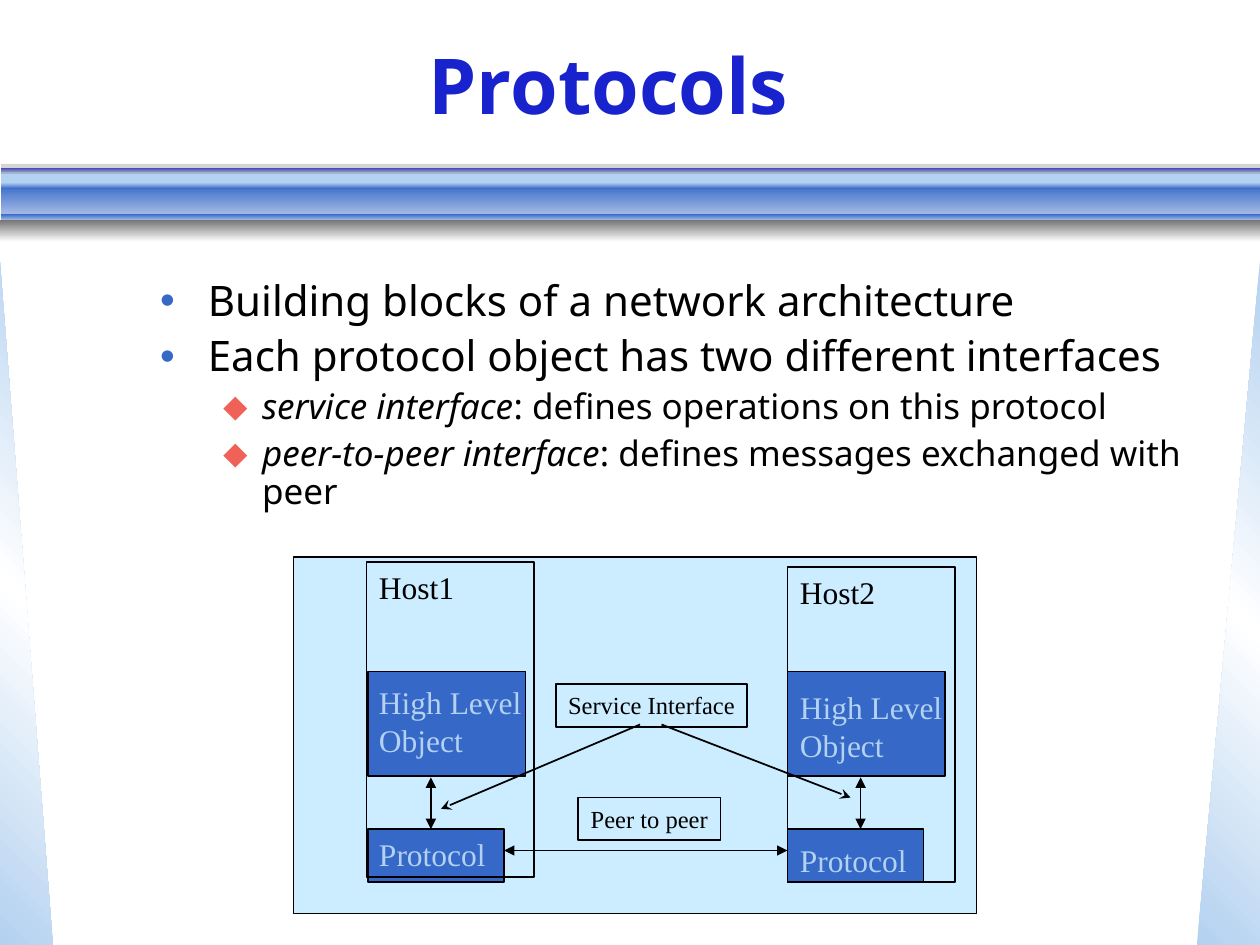
from dataclasses import dataclass

from lxml import etree
from pptx import Presentation
from pptx.dml.color import RGBColor
from pptx.enum.shapes import MSO_CONNECTOR, MSO_SHAPE
from pptx.enum.text import MSO_ANCHOR, MSO_AUTO_SIZE, PP_ALIGN
from pptx.oxml import parse_xml
from pptx.oxml.ns import nsdecls, qn
from pptx.util import Inches, Pt

RECTANGLE, TRIANGLE = MSO_SHAPE.RECTANGLE, MSO_SHAPE.RIGHT_TRIANGLE
STRAIGHT = MSO_CONNECTOR.STRAIGHT
TOP, MIDDLE = MSO_ANCHOR.TOP, MSO_ANCHOR.MIDDLE
LEFT, CENTER = PP_ALIGN.LEFT, PP_ALIGN.CENTER
NO_AUTOFIT = MSO_AUTO_SIZE.NONE

BLACK = RGBColor(0x00, 0x00, 0x00)
WHITE = RGBColor(0xFF, 0xFF, 0xFF)
GRAY = RGBColor(0x77, 0x77, 0x77)
TITLE_BLUE = RGBColor(0x18, 0x22, 0xCD)
SOFT_VIOLET = RGBColor(0x87, 0x8D, 0xE5)
BLUE = RGBColor(0x35, 0x68, 0xC7)
SOFT_BLUE = RGBColor(0xA9, 0xBE, 0xE7)
PALE_BLUE = RGBColor(0xB3, 0xD1, 0xF0)
PANEL_BLUE = RGBColor(0xCC, 0xEC, 0xFF)
CORAL = RGBColor(0xF0, 0x61, 0x57)

SANS, SERIF = "Noto Sans", "Times New Roman"


@dataclass
class Box:
    left: float
    top: float
    width: float
    height: float

    def lengths(self) -> list:
        return [Inches(v) for v in (self.left, self.top, self.width, self.height)]


@dataclass
class Band:
    box: Box
    colors: tuple
    angle: int = 90
    kind: int = RECTANGLE
    mirrored: bool = False
    alpha: int = 100


@dataclass
class Line:
    """A label line; gap is the space before it in points."""
    text: str
    size: int = 18
    color: RGBColor = BLACK
    gap: int = 0


@dataclass
class Arrow:
    start: tuple
    end: tuple
    tail: str = "triangle"
    head: str = "none"


@dataclass
class Bullet:
    term: str
    text: str
    level: int = 0


@dataclass
class BulletStyle:
    mark: str
    color: RGBColor
    size: int
    space: int
    indent: float
    hanging: float


BULLET_STYLES = (BulletStyle("•", BLUE, 24, 6, 0.38, 0.38),
                 BulletStyle("⬥", CORAL, 20, 5, 0.81, 0.31))

BANDS = (
    Band(Box(0, 2.08, 0.42, 5.42), (PALE_BLUE, WHITE, PALE_BLUE), 135, TRIANGLE),
    Band(Box(9.5, 2.08, 0.5, 5.42), (PALE_BLUE, WHITE, PALE_BLUE), 225, TRIANGLE, True),
    Band(Box(0.01, 1.36, 9.99, 0.1), (PALE_BLUE,)),
    Band(Box(0.01, 1.46, 9.99, 0.25), (BLUE, SOFT_BLUE)),
    Band(Box(0.01, 1.33, 9.99, 0.03), (TITLE_BLUE, SOFT_VIOLET)),
    Band(Box(0.01, 1.7, 9.99, 0.05), (BLUE, SOFT_BLUE)),
    Band(Box(0.01, 1.45, 9.99, 0.05), (PALE_BLUE, BLUE)),
    Band(Box(0, 1.75, 10, 0.17), (GRAY, WHITE)),
    Band(Box(0.01, 1.3, 9.99, 0.08), (GRAY,), alpha=31),
)

BULLETS = (
    Bullet("", "Building blocks of a network architecture"),
    Bullet("", "Each protocol object has two different interfaces"),
    Bullet("service interface", ": defines operations on this protocol", 1),
    Bullet("peer-to-peer interface", ": defines messages exchanged with peer", 1),
)

HOSTS = (("Host1", Box(2.91, 4.46, 1.33, 2.5)), ("Host2", Box(6.25, 4.5, 1.33, 2.5)))
BLOCK_LEFTS = (2.92, 6.25)
LABELS = (("Service Interface", Box(4.41, 5.43, 1.52, 0.34)),
          ("Peer to peer", Box(4.59, 6.33, 1.13, 0.34)))
ARROWS = (
    Arrow((3.42, 6.17), (3.42, 6.58), head="triangle"),
    Arrow((6.83, 6.17), (6.83, 6.58), head="triangle"),
    Arrow((4, 6.75), (6.25, 6.75), head="triangle"),
    Arrow((5.08, 5.75), (3.5, 6.42), "stealth"),
    Arrow((5.25, 5.75), (6.75, 6.33), "stealth"),
)


def set_gradient(shape, colors: tuple, angle: int) -> None:
    stops = "".join(
        f'<a:gs pos="{100000 * i // (len(colors) - 1)}"><a:srgbClr val="{color}"/></a:gs>'
        for i, color in enumerate(colors))
    gradient = parse_xml(
        f'<a:gradFill {nsdecls("a")} rotWithShape="1"><a:gsLst>{stops}</a:gsLst>'
        f'<a:lin ang="{angle * 60000}" scaled="1"/></a:gradFill>')
    shape._element.spPr.find(qn("a:prstGeom")).addnext(gradient)


def draw_band(shapes, band: Band) -> None:
    shape = shapes.add_shape(band.kind, *band.box.lengths())
    shape.shadow.inherit = False
    shape.line.fill.background()
    if band.mirrored:
        shape._element.spPr.find(qn("a:xfrm")).set("flipH", "1")
    if len(band.colors) > 1:
        set_gradient(shape, band.colors, band.angle)
        return
    shape.fill.solid()
    shape.fill.fore_color.rgb = band.colors[0]
    if band.alpha < 100:
        color = shape._element.spPr.find(".//" + qn("a:srgbClr"))
        etree.SubElement(color, qn("a:alpha")).set("val", str(band.alpha * 1000))


def draw_box(shapes, box: Box, fill: RGBColor | None = None, lines: tuple = ()) -> None:
    shape = shapes.add_shape(RECTANGLE, *box.lengths())
    shape.shadow.inherit = False
    shape.line.color.rgb = BLACK
    shape.line.width = Pt(1)
    if fill is None:
        shape.fill.background()
    else:
        shape.fill.solid()
        shape.fill.fore_color.rgb = fill
    frame = shape.text_frame
    frame.word_wrap = False
    frame.vertical_anchor = TOP
    for i, line in enumerate(lines):
        paragraph = frame.add_paragraph() if i else frame.paragraphs[0]
        paragraph.text = line.text
        paragraph.alignment = LEFT
        paragraph.space_before = Pt(line.gap)
        paragraph.font.name = SERIF
        paragraph.font.size = Pt(line.size)
        paragraph.font.color.rgb = line.color


def draw_arrow(shapes, arrow: Arrow) -> None:
    points = [Inches(v) for v in arrow.start + arrow.end]
    connector = shapes.add_connector(STRAIGHT, *points)
    connector.line.color.rgb = BLACK
    connector.line.width = Pt(1)
    outline = connector.line._get_or_add_ln()
    for end, kind in (("a:headEnd", arrow.head), ("a:tailEnd", arrow.tail)):
        etree.SubElement(outline, qn(end)).set("type", kind)
    etree.SubElement(connector._element.spPr, qn("a:effectLst"))


def place(placeholder, box: Box, anchor: int):
    """Move a placeholder and return its text frame."""
    placeholder.left, placeholder.top, placeholder.width, placeholder.height = box.lengths()
    frame = placeholder.text_frame
    frame.auto_size = NO_AUTOFIT
    frame.vertical_anchor = anchor
    return frame


def write_bullet(paragraph, bullet: Bullet) -> None:
    style = BULLET_STYLES[bullet.level]
    paragraph.level = bullet.level
    paragraph.space_before = Pt(style.space)
    paragraph.line_spacing = 0.9
    paragraph.font.name = SANS
    paragraph.font.size = Pt(style.size)
    paragraph.font.color.rgb = BLACK
    if bullet.term:
        term = paragraph.add_run()
        term.text = bullet.term
        term.font.italic = True
    paragraph.add_run().text = bullet.text
    properties = paragraph._p.get_or_add_pPr()
    properties.set("marL", str(Inches(style.indent)))
    properties.set("indent", str(-Inches(style.hanging)))
    mark = parse_xml(f'<a:buChar {nsdecls("a")} char="{style.mark}"/>')
    color = parse_xml(f'<a:buClr {nsdecls("a")}><a:srgbClr val="{style.color}"/></a:buClr>')
    properties.find(qn("a:defRPr")).addprevious(color)
    color.addnext(mark)


def main() -> None:
    deck = Presentation()
    deck.slide_width, deck.slide_height = Inches(10), Inches(7.5)
    slide = deck.slides.add_slide(deck.slide_layouts[1])
    shapes = slide.shapes
    for band in BANDS:
        draw_band(shapes, band)

    title = place(shapes.title, Box(0.58, 0.33, 8.5, 0.67), MIDDLE).paragraphs[0]
    title.text = "Protocols"
    title.alignment = CENTER
    title.font.name, title.font.size, title.font.bold = SANS, Pt(44), True
    title.font.color.rgb = TITLE_BLUE

    body = place(slide.placeholders[1], Box(1.17, 2.17, 8.5, 4), TOP)
    for i, bullet in enumerate(BULLETS):
        write_bullet(body.add_paragraph() if i else body.paragraphs[0], bullet)

    draw_box(shapes, Box(2.33, 4.42, 5.42, 2.83), PANEL_BLUE)
    for left in BLOCK_LEFTS:
        draw_box(shapes, Box(left, 6.58, 1.08, 0.42), BLUE)
        draw_box(shapes, Box(left, 5.33, 1.25, 0.83), BLUE)
    for host, box in HOSTS:
        draw_box(shapes, box, lines=(
            Line(host), Line("High Level", color=PALE_BLUE, gap=44),
            Line("Object", color=PALE_BLUE), Line("Protocol", color=PALE_BLUE, gap=44)))
    for label, box in LABELS:
        draw_box(shapes, box, lines=(Line(label, size=14),))
    for arrow in ARROWS:
        draw_arrow(shapes, arrow)
    deck.save("out.pptx")


if __name__ == "__main__":
    main()
